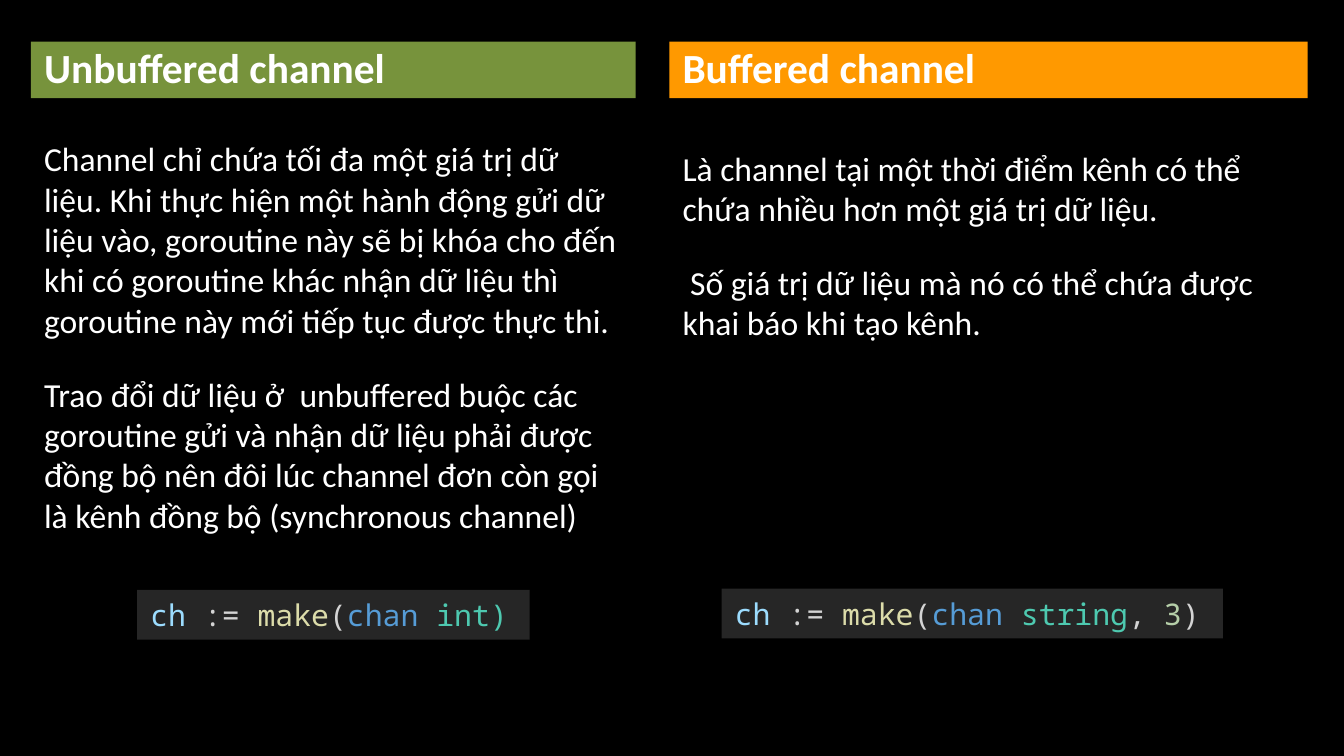
import dataclasses

import pptx
import pptx.dml.color
import pptx.enum.shapes
import pptx.enum.text
import pptx.util

Inches = pptx.util.Inches
Pt = pptx.util.Pt
rgb = pptx.dml.color.RGBColor.from_string
Anchor = pptx.enum.text.MSO_ANCHOR


@dataclasses.dataclass(frozen=True)
class Theme:
    background: str = "000000"
    text: str = "FFFFFF"
    unbuffered: str = "77933C"
    buffered: str = "FF9900"
    code_panel: str = "262626"
    variable: str = "9CDCFE"
    plain: str = "D4D4D4"
    function: str = "DCDCAA"
    keyword: str = "569CD6"
    type_name: str = "4EC9B0"
    number: str = "B5CEA8"
    text_font: str = "Calibri"
    code_font: str = "Noto Sans Mono"
    heading_size: float = 22.2
    body_size: float = 18
    code_size: float = 16
    paragraph_gap: float = 18


THEME = Theme()

MAKE_CHANNEL = [
    ("ch", THEME.variable),
    (" := ", THEME.plain),
    ("make", THEME.function),
    ("(", THEME.plain),
    ("chan ", THEME.keyword),
]


def add_panel(slide, box, color):
    panel = slide.shapes.add_shape(
        pptx.enum.shapes.MSO_SHAPE.RECTANGLE, *map(Inches, box))
    panel.shadow.inherit = False
    panel.fill.solid()
    panel.fill.fore_color.rgb = rgb(color)
    panel.line.fill.background()
    return panel.text_frame


def write_paragraphs(frame, texts, size, bold=False):
    for index, text in enumerate(texts):
        paragraph = frame.paragraphs[0] if index == 0 else frame.add_paragraph()
        paragraph.text = text
        paragraph.alignment = pptx.enum.text.PP_ALIGN.LEFT
        paragraph.space_before = Pt(THEME.paragraph_gap)
        paragraph.font.name = THEME.text_font
        paragraph.font.size = Pt(size)
        paragraph.font.bold = bold
        paragraph.font.color.rgb = rgb(THEME.text)


def add_heading(slide, box, title, color):
    frame = add_panel(slide, box, color)
    frame.word_wrap = True
    frame.vertical_anchor = Anchor.BOTTOM
    write_paragraphs(frame, [title], THEME.heading_size, bold=True)


def add_description(slide, box, texts):
    frame = slide.shapes.add_textbox(*map(Inches, box)).text_frame
    frame.word_wrap = True
    write_paragraphs(frame, texts, THEME.body_size)


def add_code(slide, box, tokens):
    """Add a code line from (text, color) tokens."""
    frame = add_panel(slide, box, THEME.code_panel)
    frame.word_wrap = True
    frame.vertical_anchor = Anchor.TOP
    frame.auto_size = pptx.enum.text.MSO_AUTO_SIZE.SHAPE_TO_FIT_TEXT
    line = frame.paragraphs[0]
    line.alignment = pptx.enum.text.PP_ALIGN.LEFT
    line.font.name = THEME.code_font
    line.font.size = Pt(THEME.code_size)
    for text, color in tokens:
        token = line.add_run()
        token.text = text
        token.font.color.rgb = rgb(color)


def add_channel_column(slide, box, title, color, description, description_box,
                       code, code_box):
    """Place one channel type; inner boxes are relative to the column box."""
    left, top, width, _ = box

    def place(inner):
        x, y, w, h = inner
        return left + x, top + y, w, h

    add_heading(slide, place((0, 0, width, 0.42)), title, color)
    add_description(slide, place(description_box), description)
    add_code(slide, place(code_box), code)


def main():
    deck = pptx.Presentation()
    deck.slide_width = Inches(10)
    deck.slide_height = deck.slide_width * 9 // 16
    slide = deck.slides.add_slide(deck.slide_layouts[6])
    slide.background.fill.solid()
    slide.background.fill.fore_color.rgb = rgb(THEME.background)

    add_channel_column(
        slide, (0.23, 0.31, 4.5, 4.45), "Unbuffered channel", THEME.unbuffered,
        description=[
            "Channel chỉ chứa tối đa một giá trị dữ liệu. Khi thực hiện một "
            "hành động gửi dữ liệu vào, goroutine này sẽ bị khóa cho đến khi "
            "có goroutine khác nhận dữ liệu thì goroutine này mới tiếp tục "
            "được thực thi.",
            "Trao đổi dữ liệu ở  unbuffered buộc các goroutine gửi và nhận dữ "
            "liệu phải được đồng bộ nên đôi lúc channel đơn còn gọi là kênh "
            "đồng bộ (synchronous channel)",
        ],
        description_box=(0, 0.67, 4.5, 3.58),
        code=MAKE_CHANNEL + [("int)", THEME.type_name)],
        code_box=(0.79, 4.08, 2.92, 0.37))

    add_channel_column(
        slide, (4.98, 0.31, 4.75, 4.45), "Buffered channel", THEME.buffered,
        description=[
            "Là channel tại một thời điểm kênh có thể chứa nhiều hơn một giá "
            "trị dữ liệu.",
            " Số giá trị dữ liệu mà nó có thể chứa được khai báo khi tạo kênh.",
        ],
        description_box=(0, 0.74, 4.48, 3),
        code=MAKE_CHANNEL + [
            ("string", THEME.type_name),
            (", ", THEME.plain),
            ("3", THEME.number),
            (")", THEME.plain),
        ],
        code_box=(0.39, 4.07, 3.73, 0.37))

    deck.save("out.pptx")


if __name__ == "__main__":
    main()
